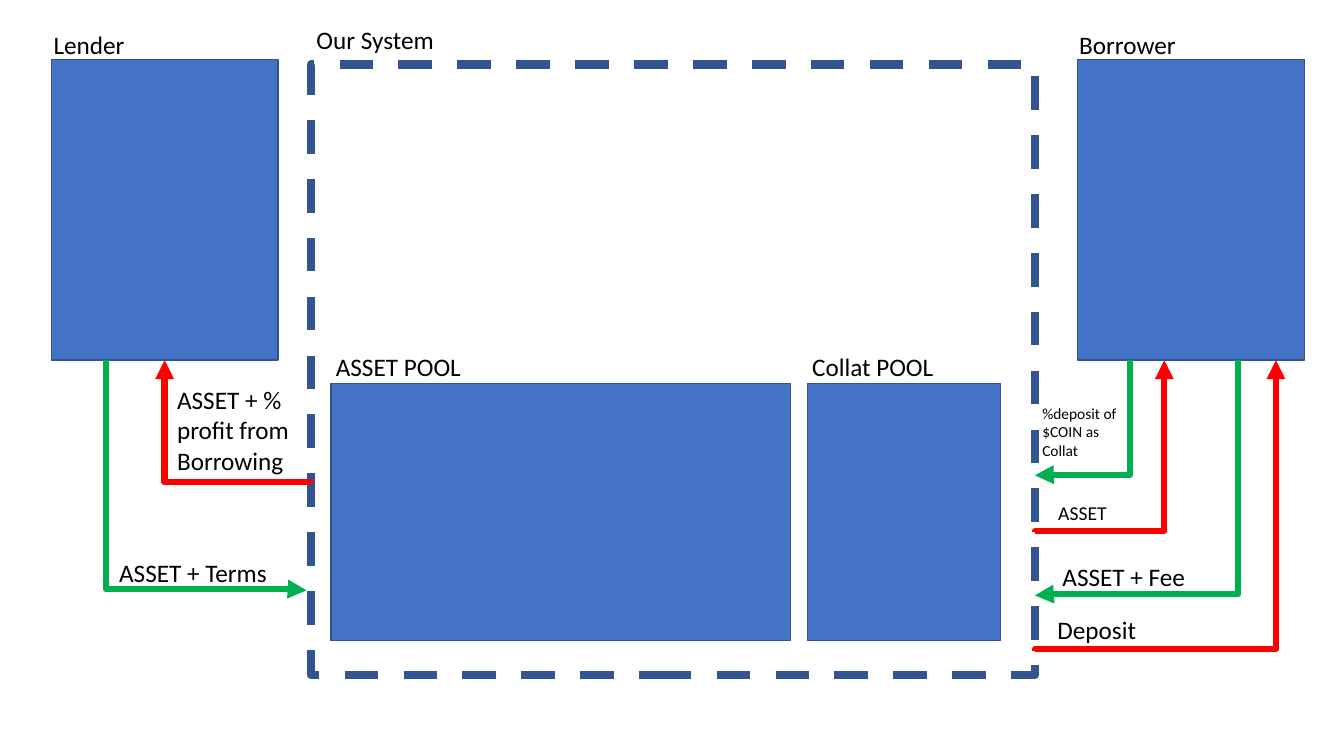
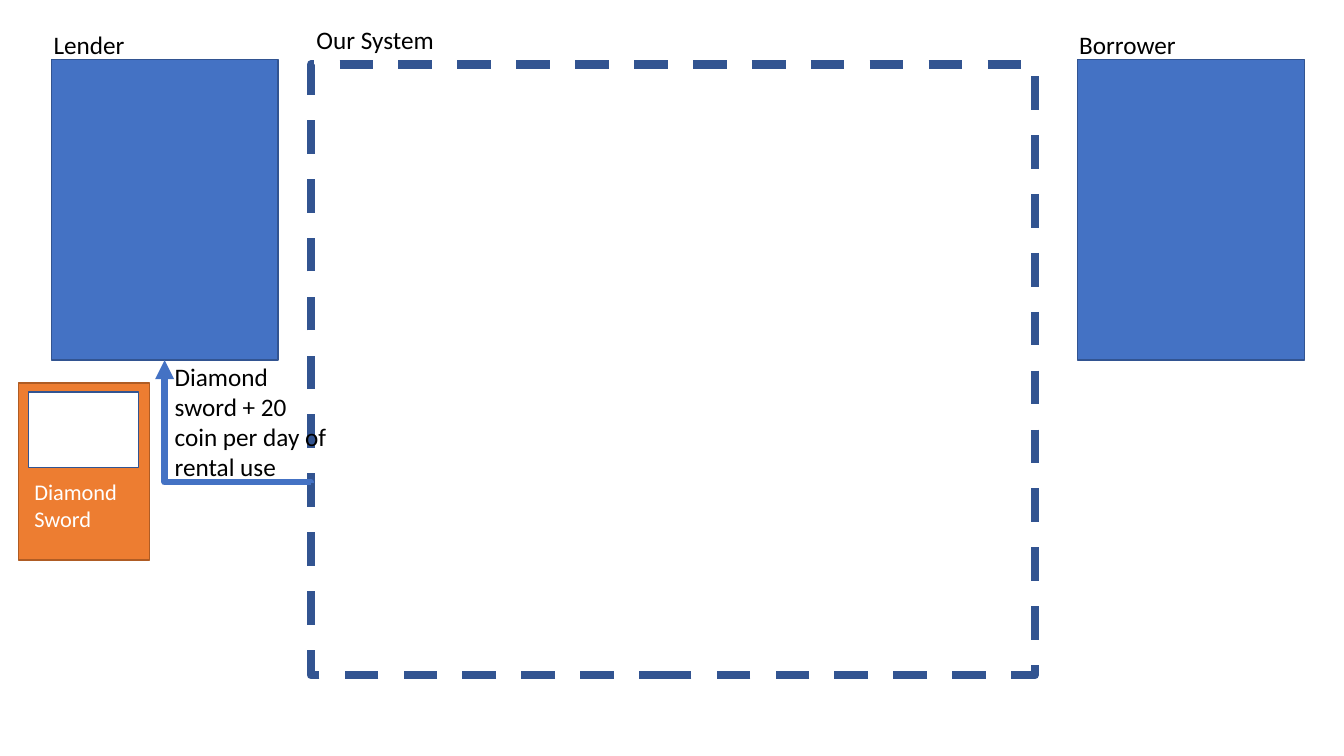
"""Draw a lending system and its rental payout as two diagram slides."""
import pptx
import pptx.dml.color
import pptx.enum.dml
import pptx.enum.shapes
import pptx.enum.text
import pptx.oxml
import pptx.oxml.ns
import pptx.util

COLORS = {
    "blue": "4472C4",
    "navy": "325491",
    "green": "00B050",
    "red": "FF0000",
    "orange": "ED7D31",
    "brown": "AF5C24",
    "white": "FFFFFF",
    "black": "000000",
}
FONT = "Calibri"
COLUMNS = 16
PARTY_TOP, PARTY_WIDTH, PARTY_HEIGHT = 0.71, 2.7, 3.58
PARTY_BOTTOM = PARTY_TOP + PARTY_HEIGHT
LENDER_LEFT, BORROWER_LEFT = 0.61, 12.83
SYSTEM_LEFT, SYSTEM_WIDTH = 3.7, 8.62
SYSTEM_RIGHT = SYSTEM_LEFT + SYSTEM_WIDTH
POOL_TOP, POOL_HEIGHT = 4.57, 3.06


def color(name):
    """Return the named colour."""
    return pptx.dml.color.RGBColor.from_string(COLORS[name])


class Diagram:
    """Hold the deck, the grid and the slide being drawn."""

    def __init__(self):
        """Start a widescreen deck."""
        self.deck = pptx.Presentation()
        self.deck.slide_width = pptx.util.Inches(13.33)
        self.deck.slide_height = pptx.util.Inches(7.5)
        self.shapes = None

    def grid(self, *lengths):
        """Turn grid columns or rows into slide lengths."""
        return [round(length * self.deck.slide_width / COLUMNS) for length in lengths]

    def page(self):
        """Add a slide with the lender, the borrower and the system."""
        self.shapes = self.deck.slides.add_slide(self.deck.slide_layouts[6]).shapes
        for left in (LENDER_LEFT, BORROWER_LEFT):
            self.box(left, PARTY_TOP, PARTY_WIDTH, PARTY_HEIGHT)
        system = self.box(SYSTEM_LEFT, 0.77, SYSTEM_WIDTH, 7.27, fill=None, weight=6)
        system.line.dash_style = pptx.enum.dml.MSO_LINE.DASH
        self.label("Lender", 0.52, 0.29, 2.66)
        self.label("Borrower", 12.73, 0.29, 2.26)
        self.label("Our System", 3.65, 0.23, 3.32)

    def box(self, left, top, width, height, fill="blue", line="navy", weight=1, parent=None):
        """Add a rectangle."""
        box = (parent or self.shapes).add_shape(
            pptx.enum.shapes.MSO_SHAPE.RECTANGLE, *self.grid(left, top, width, height))
        box.shadow.inherit = False
        if fill:
            box.fill.solid()
            box.fill.fore_color.rgb = color(fill)
        else:
            box.fill.background()
        box.line.color.rgb = color(line)
        box.line.width = pptx.util.Pt(weight)
        return box

    def label(self, text, left, top, width, height=0.48, size=18, ink="black", parent=None):
        """Add a wrapped text label."""
        box = (parent or self.shapes).add_textbox(*self.grid(left, top, width, height))
        frame = box.text_frame
        frame.word_wrap = True
        frame.auto_size = pptx.enum.text.MSO_AUTO_SIZE.SHAPE_TO_FIT_TEXT
        para = frame.paragraphs[0]
        para.text = text
        para.font.name = FONT
        para.font.size = pptx.util.Pt(size)
        para.font.color.rgb = color(ink)

    def flow(self, party_x, system_x, system_y, ink, to_party):
        """Add an elbow arrow between the foot of a party and the system."""
        width, height = abs(system_x - party_x), system_y - PARTY_BOTTOM
        middle_x, middle_y = (party_x + system_x) / 2, (PARTY_BOTTOM + system_y) / 2
        rightward = system_x > party_x
        reach = height / 2 if rightward else -height / 2
        arrow = self.shapes.add_connector(
            pptx.enum.shapes.MSO_CONNECTOR.ELBOW,
            *self.grid(middle_x + reach, middle_y - width / 2,
                       middle_x - reach, middle_y + width / 2))
        arrow.line.color.rgb = color(ink)
        arrow.line.width = pptx.util.Pt(4.5)
        properties = arrow.element.spPr
        turn = 270 if rightward else 90
        properties.find(pptx.oxml.ns.qn("a:xfrm")).set("rot", str(turn * 60000))
        geometry = properties.find(pptx.oxml.ns.qn("a:prstGeom"))
        bend = self.append_element(geometry.find(pptx.oxml.ns.qn("a:avLst")), "gd")
        bend.set("name", "adj1")
        bend.set("fmla", "val 99500")
        line = properties.find(pptx.oxml.ns.qn("a:ln"))
        arrowhead = self.append_element(line, "headEnd" if to_party else "tailEnd")
        arrowhead.set("type", "triangle")
        self.append_element(properties, "effectLst")

    def append_element(self, parent, name):
        """Append an empty drawing element."""
        child = pptx.oxml.parse_xml(f"<a:{name} {pptx.oxml.ns.nsdecls('a')}/>")
        parent.append(child)
        return child

    def card(self, text, left, top):
        """Add a grouped item card with a blank window."""
        group = self.shapes.add_group_shape().shapes
        self.box(left, top, 1.56, 2.11, "orange", "brown", parent=group)
        self.label(text, left + 0.07, top + 1.07, 1.42, 0.77, 16, "white", group)
        self.box(left + 0.12, top + 0.11, 1.31, 0.9, "white", parent=group)


def main():
    """Build and save both slides."""
    diagram = Diagram()

    diagram.page()
    for party_x, system_x, system_y, ink, to_party in (
        (1.26, 3.65, 7.03, "green", False),
        (1.96, SYSTEM_LEFT, 5.75, "red", True),
        (13.45, SYSTEM_RIGHT, 5.66, "green", False),
        (13.86, SYSTEM_RIGHT, 6.33, "red", True),
        (14.74, SYSTEM_RIGHT, 7.09, "green", False),
        (15.19, SYSTEM_RIGHT, 7.75, "red", True),
    ):
        diagram.flow(party_x, system_x, system_y, ink, to_party)
    diagram.label("%deposit of $COIN as Collat", 12.29, 4.75, 1.37, 0.79, 11)
    diagram.label("ASSET", 12.48, 5.91, 1.07, size=14)
    diagram.label("ASSET + Fee", 12.53, 6.62, 1.75)
    diagram.label("ASSET + Terms", 1.3, 6.58, 2.02)
    diagram.label("ASSET + % profit from Borrowing", 1.99, 4.52, 1.78, 1.21)
    diagram.label("Deposit", 12.47, 7.26, 2.09)
    for name, left, width in (("ASSET POOL", 3.94, 5.47), ("Collat POOL", 9.61, 2.3)):
        diagram.box(left, POOL_TOP, width, POOL_HEIGHT)
        diagram.label(name, left - 0.06, POOL_TOP - 0.44, 2.66)

    diagram.page()
    diagram.flow(1.96, SYSTEM_LEFT, 5.75, "blue", True)
    diagram.label("Diamond sword + 20 coin per day of rental use", 1.96, 4.24, 2.06, 1.57)
    diagram.card("Diamond Sword", 0.22, 4.56)

    diagram.deck.save("out.pptx")


if __name__ == "__main__":
    main()
